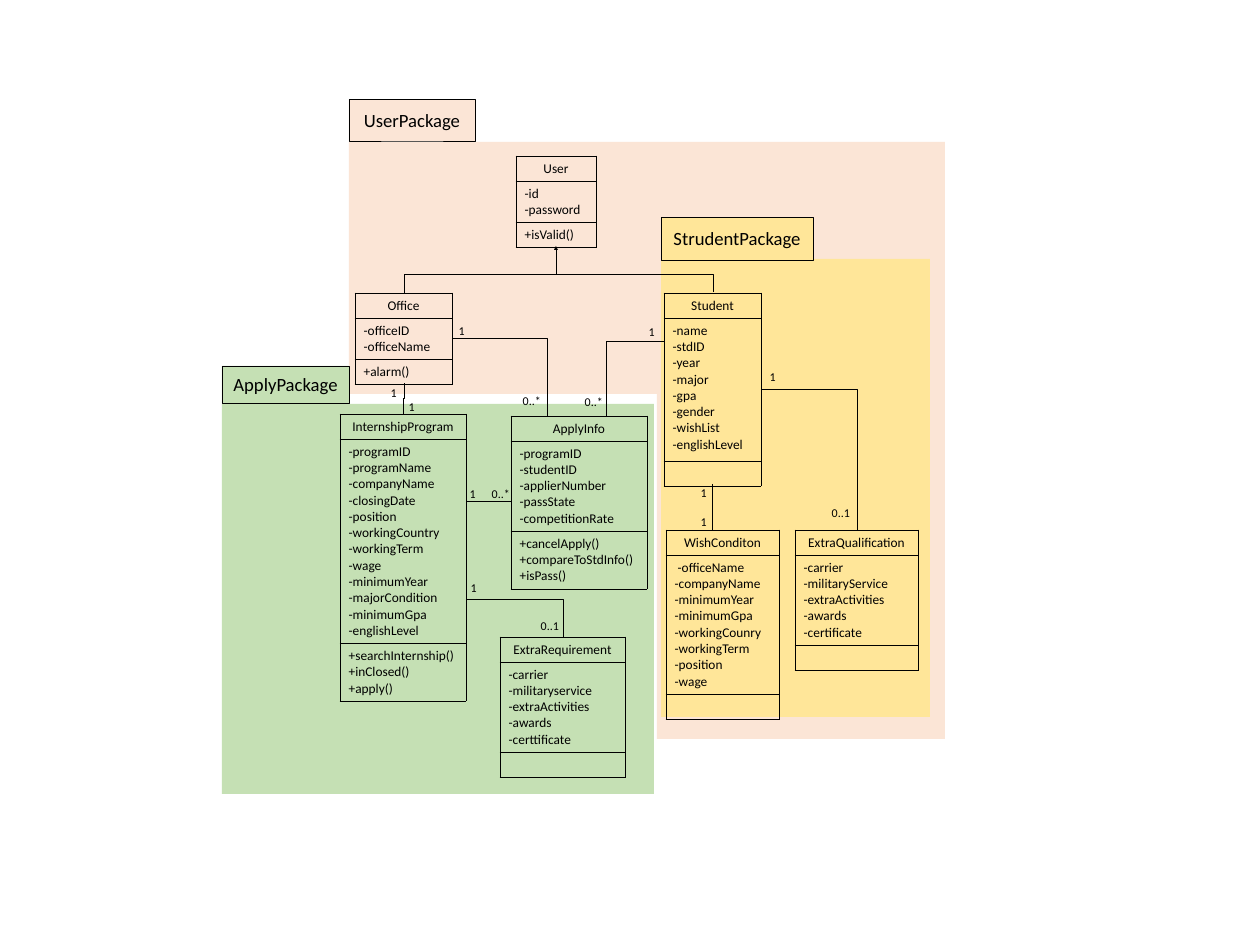
from lxml import etree
from pptx import Presentation
from pptx.dml.color import RGBColor
from pptx.enum.shapes import MSO_CONNECTOR as LINE, MSO_SHAPE as SHAPE
from pptx.enum.text import MSO_ANCHOR as ANCHOR, PP_ALIGN as ALIGN
from pptx.oxml.ns import qn
from pptx.util import Pt

PX = 19050  # EMU per pixel, 48 pixels to the inch
COLOR = {"user": "FBE5D6", "student": "FFE699", "apply": "C5E0B4", "ink": "000000"}
FONT = "Calibri"

# Package areas: colour, left, top, width, height
AREAS = [
    ("apply", 222, 404, 432, 390),
    ("user", 657, 343, 288, 396),
    ("user", 349, 142, 596, 252),
    ("student", 661, 259, 269, 458),
]
TABS = [
    ("UserPackage", "user", 349, 99, 126, 42),
    ("ApplyPackage", "apply", 222, 366, 127, 37),
    ("StrudentPackage", "student", 661, 217, 152, 43),
]

# Classes: name, left, top, width, attributes, operations
CLASSES = [
    ("User", 516, 156, 80, ["-id", "-password"], ["+isValid()"]),
    ("Office", 355, 293, 97, ["-officeID", "-officeName"], ["+alarm()"]),
    ("ApplyInfo", 511, 416, 136,
     ["-programID", "-studentID", "-applierNumber", "-passState", "-competitionRate"],
     ["+cancelApply()", "+compareToStdInfo()", "+isPass()"]),
    ("Student", 664, 293, 97,
     ["-name", "-stdID", "-year", "-major", "-gpa", "-gender", "-wishList",
      "-englishLevel"], []),
    ("InternshipProgram", 340, 414, 126,
     ["-programID", "-programName", "-companyName", "-closingDate", "-position",
      "-workingCountry", "-workingTerm", "-wage", "-minimumYear", "-majorCondition",
      "-minimumGpa", "-englishLevel"],
     ["+searchInternship()", "+inClosed()", "+apply()"]),
    ("WishConditon", 666, 530, 113,
     [" -officeName", "-companyName", "-minimumYear", "-minimumGpa", "-workingCounry",
      "-workingTerm", "-position", "-wage"], []),
    ("ExtraQualification", 795, 530, 123,
     ["-carrier", "-militaryService", "-extraActivities", "-awards", "-certificate"], []),
    ("ExtraRequirement", 500, 637, 125,
     ["-carrier", "-militaryservice", "-extraActivities", "-awards", "-certtificate"], []),
]
MIN_HEIGHT = {"Student": 143}  # attribute rows taller than their text
HEAD_H, LINE_H, PAD_X, PAD_Y = 25, 16.28, 8.64, 4.32

# Elbows: start, end, position of the middle leg, first leg vertical
ELBOWS = [
    ((404, 293), (713, 292), 274, True),   # Office and Student under User
    ((452, 338), (547, 416), 547, False),  # Office to ApplyInfo
    ((664, 341), (606, 416), 606, False),  # Student to ApplyInfo
    ((404, 383), (403, 415), 398, True),   # Office to InternshipProgram
    ((761, 389), (857, 530), 857, False),  # Student to ExtraQualification
    ((467, 599), (563, 637), 563, False),  # InternshipProgram to ExtraRequirement
]
# Straight lines: start, end, arrowhead
STRAIGHTS = [
    ((556, 274), (556, 246), True),
    ((467, 501), (511, 501), False),
    ((712, 484), (712, 531), False),
]
# Multiplicities: text and the left top corners of its labels
LABELS = {
    "1": [(454, 321), (644, 322), (696, 483), (696, 512), (765, 367), (386, 383),
          (404, 397), (465, 484), (466, 578)],
    "0..*": [(487, 484), (580, 392), (518, 391)],
    "0..1": [(827, 503), (536, 616)],
}


def px(*values):
    return [round(v * PX) for v in values]


def rgb(key):
    return RGBColor.from_string(COLOR[key])


def write(tf, lines, size=20, align=ALIGN.LEFT, color="ink"):
    for i, line in enumerate(lines):
        p = tf.add_paragraph() if i else tf.paragraphs[0]
        p.alignment = align
        r = p.add_run()
        r.text = line
        r.font.size, r.font.name = Pt(size), FONT
        r.font.color.rgb = rgb(color)


def add_box(color, box, outlined=False):
    sp = s.shapes.add_shape(SHAPE.RECTANGLE, *px(*box))
    sp.shadow.inherit = False
    sp.fill.solid()
    sp.fill.fore_color.rgb = rgb(color)
    if outlined:
        sp.line.color.rgb, sp.line.width = rgb("ink"), Pt(1)
    else:
        sp.line.fill.background()
    return sp


def format_cell(cell):
    cell.fill.background()
    pad_x, pad_y = px(PAD_X, PAD_Y)
    cell.margin_left = cell.margin_right = pad_x
    cell.margin_top = cell.margin_bottom = pad_y
    tc_pr = cell._tc.get_or_add_tcPr()
    for i, side in enumerate("LRTB"):
        ln = etree.Element(qn(f"a:ln{side}"), w=str(Pt(1)))
        fill = etree.SubElement(ln, qn("a:solidFill"))
        etree.SubElement(fill, qn("a:srgbClr"), val=COLOR["ink"])
        tc_pr.insert(i, ln)


def add_class(name, left, top, width, attributes, operations):
    sections = [[name], attributes, operations]
    heights = [max(HEAD_H, round(2 * PAD_Y + LINE_H * len(x))) for x in sections]
    heights[1] = max(heights[1], MIN_HEIGHT.get(name, 0))
    table = s.shapes.add_table(3, 1, *px(left, top, width, sum(heights))).table
    table.first_row = table.horz_banding = False
    for i, (lines, height) in enumerate(zip(sections, heights)):
        table.rows[i].height = height * PX
        cell = table.cell(i, 0)
        format_cell(cell)
        write(cell.text_frame, lines, align=ALIGN.LEFT if i else ALIGN.CENTER)


def add_line(kind, start, end, arrow=False):
    c = s.shapes.add_connector(kind, *px(*start, *end))
    c.line.color.rgb, c.line.width = rgb("ink"), Pt(0.5)
    sp_pr = c._element.spPr
    etree.SubElement(sp_pr, qn("a:effectLst"))
    if arrow:
        etree.SubElement(sp_pr.find(qn("a:ln")), qn("a:tailEnd"), type="triangle")
    return sp_pr


def add_elbow(start, end, middle, vertical):
    (x1, y1), (x2, y2) = start, end
    dx, dy = x2 - x1, y2 - y1
    if vertical:  # lay it out sideways about its centre, then turn it 90 degrees
        cx, cy = (x1 + x2) / 2, (y1 + y2) / 2
        start, end = (cx - dy / 2, cy + dx / 2), (cx + dy / 2, cy - dx / 2)
    sp_pr = add_line(LINE.ELBOW, start, end)
    if vertical:
        sp_pr.find(qn("a:xfrm")).set("rot", "5400000")
    share = (middle - y1) / dy if vertical else (middle - x1) / dx
    guides = sp_pr.find(qn("a:prstGeom")).get_or_add_avLst()
    etree.SubElement(guides, qn("a:gd"), name="adj1", fmla=f"val {round(share * 100000)}")


prs = Presentation()
prs.slide_width, prs.slide_height = px(1260, 945)
s = prs.slides.add_slide(prs.slide_layouts[6])

# Package areas and classes
for color, *box in AREAS:
    add_box(color, box)
for item in CLASSES:
    add_class(*item)

# Relations
for elbow in ELBOWS:
    add_elbow(*elbow)
for start, end, arrow in STRAIGHTS:
    add_line(LINE.STRAIGHT, start, end, arrow)

# Multiplicities
for text, corners in LABELS.items():
    for corner in corners:
        tf = s.shapes.add_textbox(*px(*corner, 32, 19)).text_frame
        tf.word_wrap, tf.margin_right = True, 0
        write(tf, [text], size=18)

# Package tabs
for text, color, *box in TABS:
    tf = add_box(color, box, outlined=True).text_frame
    tf.word_wrap, tf.vertical_anchor = True, ANCHOR.MIDDLE
    write(tf, [text], size=28, align=ALIGN.CENTER)

prs.save("out.pptx")
